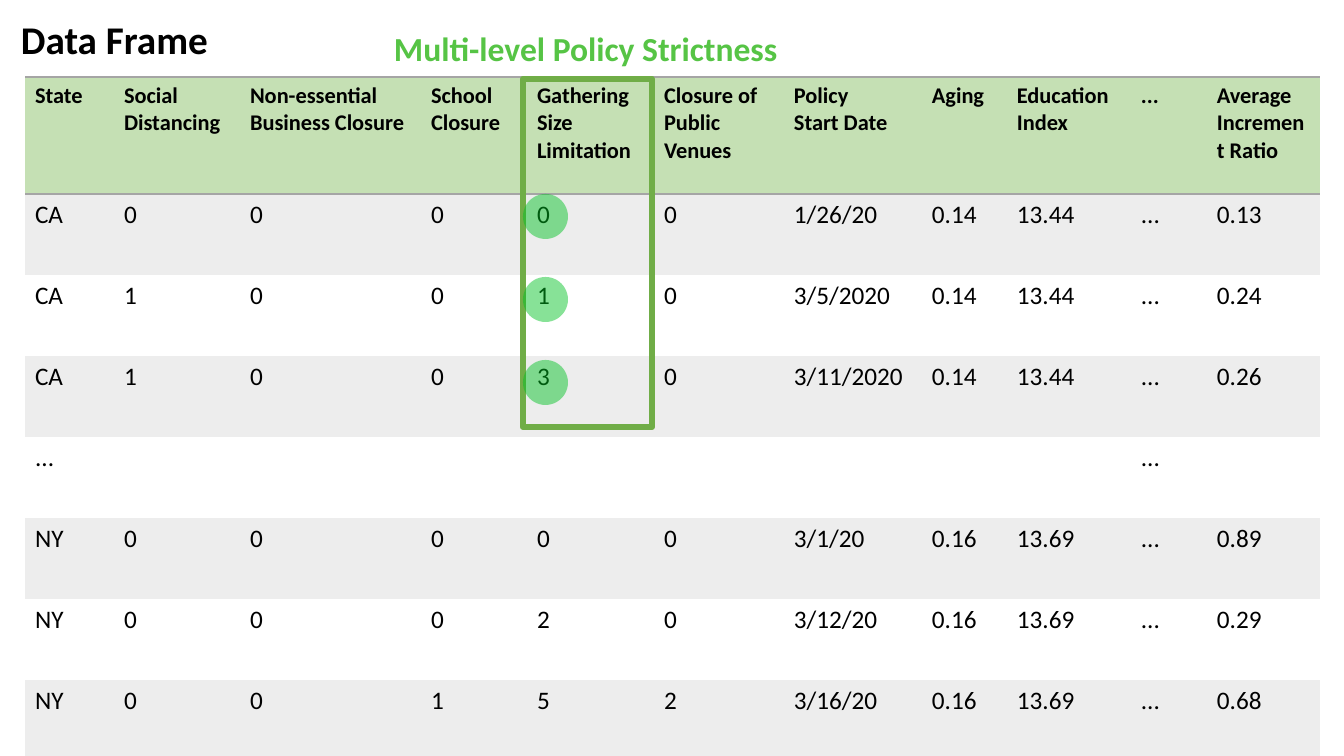
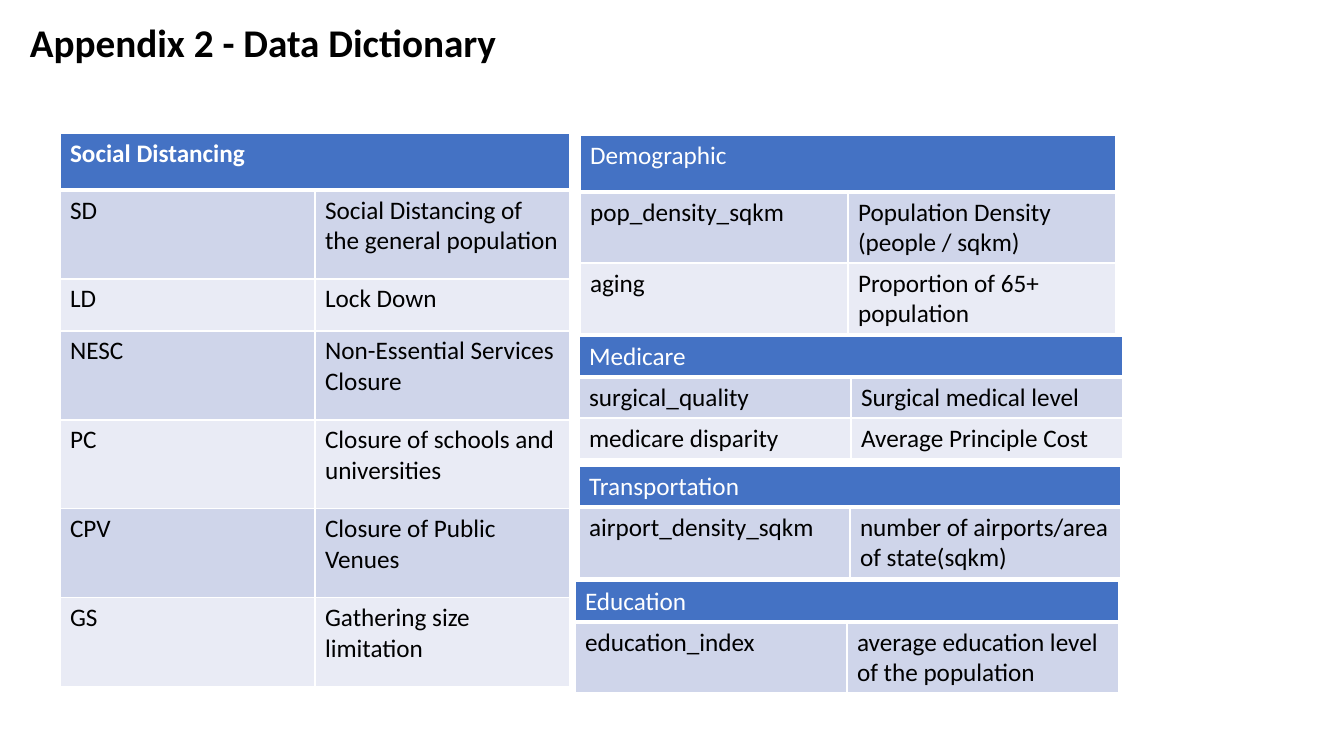
import lxml.etree
import pptx
import pptx.dml.color
import pptx.enum.shapes
import pptx.oxml.ns
import pptx.util

RGB = pptx.dml.color.RGBColor
SHAPES = pptx.enum.shapes.MSO_SHAPE
qn = pptx.oxml.ns.qn

PX = 914400 / 100.8
FONT = "Calibri"
PLAIN_TABLE = "{2D5ABB26-0587-4C30-8999-92F81FD0307C}"

BLACK = RGB(0x00, 0x00, 0x00)
WHITE = RGB(0xFF, 0xFF, 0xFF)
GREY = RGB(0xA5, 0xA5, 0xA5)
PALE_GREY = RGB(0xED, 0xED, 0xED)
PALE_GREEN = RGB(0xC5, 0xE0, 0xB4)
FRAME_GREEN = RGB(0x70, 0xAD, 0x47)
LABEL_GREEN = RGB(0x56, 0xC4, 0x45)
DOT_GREEN = RGB(0x00, 0xC2, 0x23)
BLUE = RGB(0x44, 0x72, 0xC4)
BLUE_BAND = RGB(0xCF, 0xD5, 0xEA)
PALE_BLUE_BAND = RGB(0xE9, 0xEB, 0xF5)

TITLE = {"size": pptx.util.Pt(28), "bold": True, "color": BLACK}
LABEL = {"size": pptx.util.Pt(24), "bold": True, "color": LABEL_GREEN}
HEAD = {"size": pptx.util.Pt(16), "bold": True, "color": BLACK}
BODY = {"size": pptx.util.Pt(18), "bold": False, "color": BLACK}
BLUE_HEAD = {"size": pptx.util.Pt(18), "bold": False, "color": WHITE}
BOLD_BLUE_HEAD = {**BLUE_HEAD, "bold": True}


def write(tf, text, style):
    tf.text = text
    for p in tf.paragraphs:
        for r in p.runs:
            r.font.name = FONT
            for name, value in style.items():
                if name == "color":
                    r.font.color.rgb = value
                else:
                    setattr(r.font, name, value)


def add_table(s, left, top, widths, heights, rows, looks):
    """Each look is (text style, fill, line colour, {side: width in points})."""
    box = [round(v * PX) for v in (left, top, sum(widths), sum(heights))]
    frame = s.shapes.add_table(len(heights), len(widths), *box)
    table = frame.table
    table._tbl.tblPr.find(qn("a:tableStyleId")).text = PLAIN_TABLE
    for column, width in zip(table.columns, widths):
        column.width = round(width * PX)
    for i, (texts, (style, fill, line, sides)) in enumerate(zip(rows, looks)):
        table.rows[i].height = round(heights[i] * PX)
        for j in range(len(widths)):
            cell = table.cell(i, j)
            tcPr = cell._tc.get_or_add_tcPr()
            for side in "LRTB":
                if side in sides:
                    ln = lxml.etree.SubElement(tcPr, qn("a:ln" + side), w=str(pptx.util.Pt(sides[side])))
                    solid = lxml.etree.SubElement(ln, qn("a:solidFill"))
                    lxml.etree.SubElement(solid, qn("a:srgbClr"), val=str(line))
            if fill is None:
                cell.fill.background()
            else:
                cell.fill.solid()
                cell.fill.fore_color.rgb = fill
            if j < len(texts):
                write(cell.text_frame, texts[j], style)
        if len(texts) == 1:
            table.cell(i, 0).merge(table.cell(i, len(widths) - 1))


prs = pptx.Presentation()
prs.slide_width, prs.slide_height = round(1344 * PX), round(756 * PX)
frame_slide, dictionary_slide = [prs.slides.add_slide(prs.slide_layouts[6]) for _ in range(2)]

# Data frame table
s = frame_slide
records = [
    ["State", "Social Distancing", "Non-essential\nBusiness Closure", "School Closure",
     "Gathering Size Limitation", "Closure of Public Venues", "Policy\nStart Date", "Aging",
     "Education Index", "...", "Average\nIncrement Ratio"],
    ["CA", "0", "0", "0", "0", "0", "1/26/20", "0.14", "13.44", "...", "0.13"],
    ["CA", "1", "0", "0", "1", "0", "3/5/2020", "0.14", "13.44", "...", "0.24"],
    ["CA", "1", "0", "0", "3", "0", "3/11/2020", "0.14", "13.44", "...", "0.26"],
    ["...", "", "", "", "", "", "", "", "", "...", ""],
    ["NY", "0", "0", "0", "0", "0", "3/1/20", "0.16", "13.69", "...", "0.89"],
    ["NY", "0", "0", "0", "2", "0", "3/12/20", "0.16", "13.69", "...", "0.29"],
    ["NY", "0", "0", "1", "5", "2", "3/16/20", "0.16", "13.69", "...", "0.68"],
]
looks = [(HEAD, PALE_GREEN, GREY, {"T": 1, "B": 1})]
for i in range(1, len(records)):
    sides = {"B": 1} if i == len(records) - 1 else {}
    looks.append((BODY, PALE_GREY if i % 2 else None, GREY, sides))
add_table(s, 25, 77, [89, 126, 181, 106, 127, 130, 138, 85, 124, 76, 113],
          [117] + [81] * 7, records, looks)

# Frame and dots on the gathering size column
marks = [(SHAPES.RECTANGLE, 523, 79, 129, 348)]
marks += [(SHAPES.OVAL, 523, 194 + 83 * i, 45, 45) for i in range(3)]
for kind, *box in marks:
    sp = s.shapes.add_shape(kind, *[round(v * PX) for v in box])
    sp.shadow.inherit = False
    if kind == SHAPES.RECTANGLE:
        sp.fill.background()
        sp.line.color.rgb = FRAME_GREEN
        sp.line.width = pptx.util.Pt(4.5)
    else:
        sp.fill.solid()
        sp.fill.fore_color.rgb = DOT_GREEN
        color = sp._element.spPr.find(qn("a:solidFill"))[0]
        lxml.etree.SubElement(color, qn("a:alpha"), val="47000")
        sp.line.fill.background()

# Data dictionary tables: left, top, column width, row heights, header style, rows
s = dictionary_slide
dictionary = [
    (60, 133, 255, [57, 89, 52, 89, 89, 89, 89], BOLD_BLUE_HEAD, [
        ["Social Distancing"],
        ["SD", "Social Distancing of the general population"],
        ["LD", "Lock Down"],
        ["NESC", "Non-Essential Services Closure"],
        ["PC", "Closure of schools and universities"],
        ["CPV", "Closure of Public Venues"],
        ["GS", "Gathering size limitation"]]),
    (580, 135, 268, [57, 71, 71], BLUE_HEAD, [
        ["Demographic"],
        ["pop_density_sqkm", "Population Density (people / sqkm)"],
        ["aging", "Proportion of 65+ population"]]),
    (579, 336, 272, [41, 41, 41], BLUE_HEAD, [
        ["Medicare"],
        ["surgical_quality", "Surgical medical level"],
        ["medicare disparity", "Average Principle Cost"]]),
    (579, 466, 271, [41, 71], BLUE_HEAD, [
        ["Transportation"],
        ["airport_density_sqkm", "number of airports/area of state(sqkm)"]]),
    (575, 581, 272, [41, 71], BLUE_HEAD, [
        ["Education"],
        ["education_index", "average education level of the population"]]),
]
for left, top, width, heights, head, rows in dictionary:
    looks = [(head, BLUE, WHITE, {"L": 1, "R": 1, "T": 1, "B": 3})]
    for i in range(1, len(rows)):
        band = BLUE_BAND if i % 2 else PALE_BLUE_BAND
        looks.append((BODY, band, WHITE, {"L": 1, "R": 1, "B": 1}))
    add_table(s, left, top, [width, width], heights, rows, looks)

# Titles and column label
for s, text, style, wrap, box in [
    (frame_slide, "Data Frame", TITLE, True, (11, 10, 231, 57)),
    (frame_slide, "Multi-level Policy Strictness", LABEL, False, (384, 23, 408, 50)),
    (dictionary_slide, "Appendix 2 - Data Dictionary", TITLE, True, (20, 13, 652, 57)),
]:
    tf = s.shapes.add_textbox(*[round(v * PX) for v in box]).text_frame
    tf.word_wrap = wrap
    write(tf, text, style)

prs.save("out.pptx")
